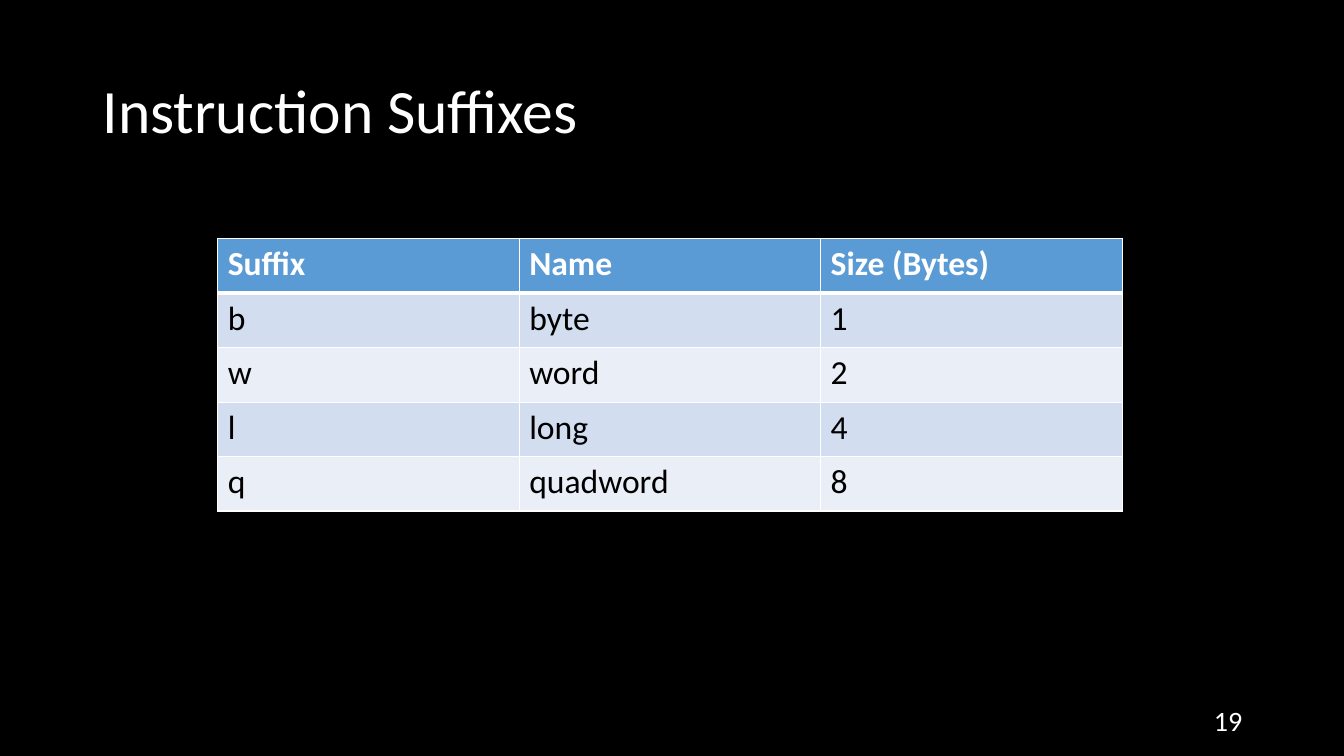
from lxml import etree
from pptx import Presentation
from pptx import util as u
from pptx.dml.color import RGBColor
from pptx.enum import text
from pptx.oxml import ns

PX = 9144  # EMU in one px, at 100 px to the inch
BLACK, WHITE = "000000", "FFFFFF"
HEADER_FILL = "5B9BD5"
BAND_FILLS = ("D2DEEF", "EAEFF7")
SUFFIX_ROWS = [
    ("Suffix", "Name", "Size (Bytes)"),
    ("b", "byte", "1"),
    ("w", "word", "2"),
    ("l", "long", "4"),
    ("q", "quadword", "8"),
]


def px(length):
    return u.Emu(length * PX)


def set_fill(fill, color):
    fill.solid()
    fill.fore_color.rgb = RGBColor.from_string(color)


def set_border(cell, side, points, color):
    """Add one cell border; side is L, R, T or B, and the fill must come later."""
    properties = cell._tc.get_or_add_tcPr()
    line = etree.SubElement(properties, ns.qn(f"a:ln{side}"), w=str(u.Pt(points)))
    solid = etree.SubElement(line, ns.qn("a:solidFill"))
    etree.SubElement(solid, ns.qn("a:srgbClr"), val=color)


class SlideBuilder:
    def __init__(self, presentation, font="Calibri"):
        self.font = font
        self.slide = presentation.slides.add_slide(presentation.slide_layouts[6])

    def background(self, color):
        set_fill(self.slide.background.fill, color)

    def run(self, paragraph, words, size, color, bold=False):
        run = paragraph.add_run()
        run.text = words
        run.font.name = self.font
        run.font.size = u.Pt(size)
        run.font.bold = bold
        run.font.color.rgb = RGBColor.from_string(color)

    def text_box(self, words, left, top, width, height, size,
                 align=text.PP_ALIGN.LEFT, line_spacing=1.0):
        shape = self.slide.shapes.add_textbox(*map(px, (left, top, width, height)))
        frame = shape.text_frame
        frame.word_wrap = True
        frame.vertical_anchor = text.MSO_ANCHOR.MIDDLE
        paragraph = frame.paragraphs[0]
        paragraph.alignment = align
        paragraph.line_spacing = line_spacing
        self.run(paragraph, words, size, WHITE)

    def table(self, rows, left, top, column_width, row_height, size):
        """Draw a table with a header row and banded body rows."""
        columns = len(rows[0])
        table = self.slide.shapes.add_table(
            len(rows), columns, px(left), px(top),
            px(column_width * columns), px(row_height * len(rows))).table
        for column in table.columns:
            column.width = px(column_width)
        for index, values in enumerate(rows):
            table.rows[index].height = px(row_height)
            header = index == 0
            fill = HEADER_FILL if header else BAND_FILLS[(index - 1) % 2]
            borders = {"L": 1, "R": 1, "T": 3 if index == 1 else 1, "B": 3 if header else 1}
            for position, value in enumerate(values):
                cell = table.cell(index, position)
                for side, points in borders.items():
                    set_border(cell, side, points, WHITE)
                set_fill(cell.fill, fill)
                self.run(cell.text_frame.paragraphs[0], value, size,
                         WHITE if header else BLACK, bold=header)


def main():
    presentation = Presentation()
    presentation.slide_width, presentation.slide_height = px(1333), px(750)
    builder = SlideBuilder(presentation)
    builder.background(BLACK)
    builder.text_box("Instruction Suffixes", 92, 40, 1150, 145, 44, line_spacing=0.9)
    builder.table(SUFFIX_ROWS, 216, 237, column_width=299, row_height=54, size=24)
    builder.text_box("19", 942, 695, 300, 40, 20, align=text.PP_ALIGN.RIGHT)
    presentation.save("out.pptx")


if __name__ == "__main__":
    main()
